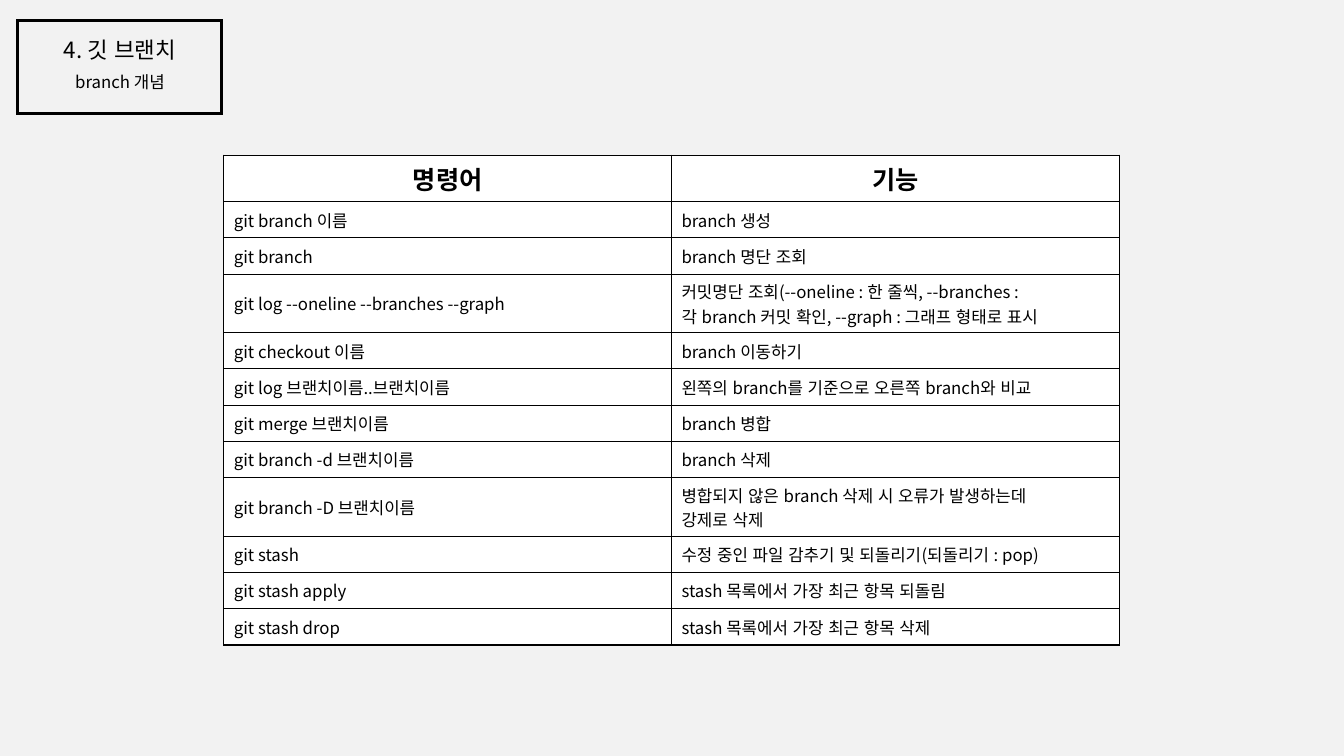
"""Build the slide that lists the git branch commands and what they do."""
from lxml.etree import SubElement
from pptx import Presentation
from pptx.dml.color import RGBColor
from pptx.enum.shapes import MSO_SHAPE as Preset
from pptx.enum.text import MSO_ANCHOR as Anchor, MSO_AUTO_SIZE as AutoSize, PP_ALIGN as Align
from pptx.oxml.ns import qn
from pptx.util import Inches, Pt

BLACK = RGBColor(0x00, 0x00, 0x00)
WHITE = RGBColor(0xFF, 0xFF, 0xFF)
LIGHT_GRAY = RGBColor(0xF2, 0xF2, 0xF2)
FONT = "Noto Sans CJK KR"

COMMANDS = [
    ("git branch 이름", "branch 생성"),
    ("git branch", "branch 명단 조회"),
    ("git log --oneline --branches --graph",
     "커밋명단 조회(--oneline : 한 줄씩, --branches :\n각 branch 커밋 확인, --graph : 그래프 형태로 표시"),
    ("git checkout 이름", "branch 이동하기"),
    ("git log 브랜치이름..브랜치이름", "왼쪽의 branch를 기준으로 오른쪽 branch와 비교"),
    ("git merge 브랜치이름", "branch 병합"),
    ("git branch -d 브랜치이름", "branch 삭제"),
    ("git branch -D 브랜치이름", "병합되지 않은 branch 삭제 시 오류가 발생하는데\n강제로 삭제"),
    ("git stash", "수정 중인 파일 감추기 및 되돌리기(되돌리기 : pop)"),
    ("git stash apply", "stash 목록에서 가장 최근 항목 되돌림"),
    ("git stash drop", "stash 목록에서 가장 최근 항목 삭제"),
]


def write_text(text_frame, text, size=12, bold=False, align=Align.LEFT):
    text_frame.text = text
    for paragraph in text_frame.paragraphs:
        paragraph.alignment = align
        for run in paragraph.runs:
            run.font.name = FONT
            run.font.size = Pt(size)
            run.font.bold = bold
            run.font.color.rgb = BLACK
            properties = run._r.get_or_add_rPr()
            properties.set("lang", "ko-KR")
            SubElement(properties, qn("a:ea"), typeface=FONT)


def add_borders(cell):
    properties = cell._tc.get_or_add_tcPr()
    for side in ("lnL", "lnR", "lnT", "lnB"):
        line = SubElement(properties, qn(f"a:{side}"), w=str(Pt(1)))
        SubElement(SubElement(line, qn("a:solidFill")), qn("a:srgbClr"), val=str(BLACK))


presentation = Presentation()
presentation.slide_width = Inches(13.33)
presentation.slide_height = Inches(7.5)
slide = presentation.slides.add_slide(presentation.slide_layouts[5])
slide.background.fill.solid()
slide.background.fill.fore_color.rgb = LIGHT_GRAY

rows = [("명령어", "기능")] + COMMANDS
table = slide.shapes.add_table(
    len(rows), 2, Inches(2.22), Inches(1.54), Inches(8.88), Inches(4.86)).table
table.first_row = False
table.horz_banding = False
for row_index, row in enumerate(rows):
    is_header = row_index == 0
    line_height = 0.46 if is_header else 0.36
    table.rows[row_index].height = Inches(0.58 if "\n" in row[1] else line_height)
    for column_index, text in enumerate(row):
        cell = table.cell(row_index, column_index)
        cell.vertical_anchor = Anchor.MIDDLE
        add_borders(cell)
        cell.fill.solid()
        cell.fill.fore_color.rgb = WHITE
        write_text(cell.text_frame, text, size=18 if is_header else 12, bold=is_header,
                   align=Align.CENTER if is_header else Align.LEFT)

frame = slide.shapes.add_shape(
    Preset.RECTANGLE, Inches(0.17), Inches(0.2), Inches(2.03), Inches(0.93))
frame.shadow.inherit = False
frame.fill.background()
frame.line.color.rgb = BLACK
frame.line.width = Pt(2)
SubElement(frame.line._get_or_add_ln(), qn("a:miter"), lim="800000")

title = slide.shapes.title
title.left, title.top = Inches(0.23), Inches(0.31)
title.width, title.height = Inches(1.92), Inches(0.37)
subtitle = slide.shapes.add_textbox(Inches(0.23), Inches(0.66), Inches(1.92), Inches(0.3))
for shape, text, size in ((title, "4. 깃 브랜치", 16), (subtitle, "branch 개념", 12)):
    shape.text_frame.word_wrap = True
    shape.text_frame.auto_size = AutoSize.SHAPE_TO_FIT_TEXT
    shape.text_frame.vertical_anchor = Anchor.TOP
    write_text(shape.text_frame, text, size=size, align=Align.CENTER)

presentation.save("out.pptx")
